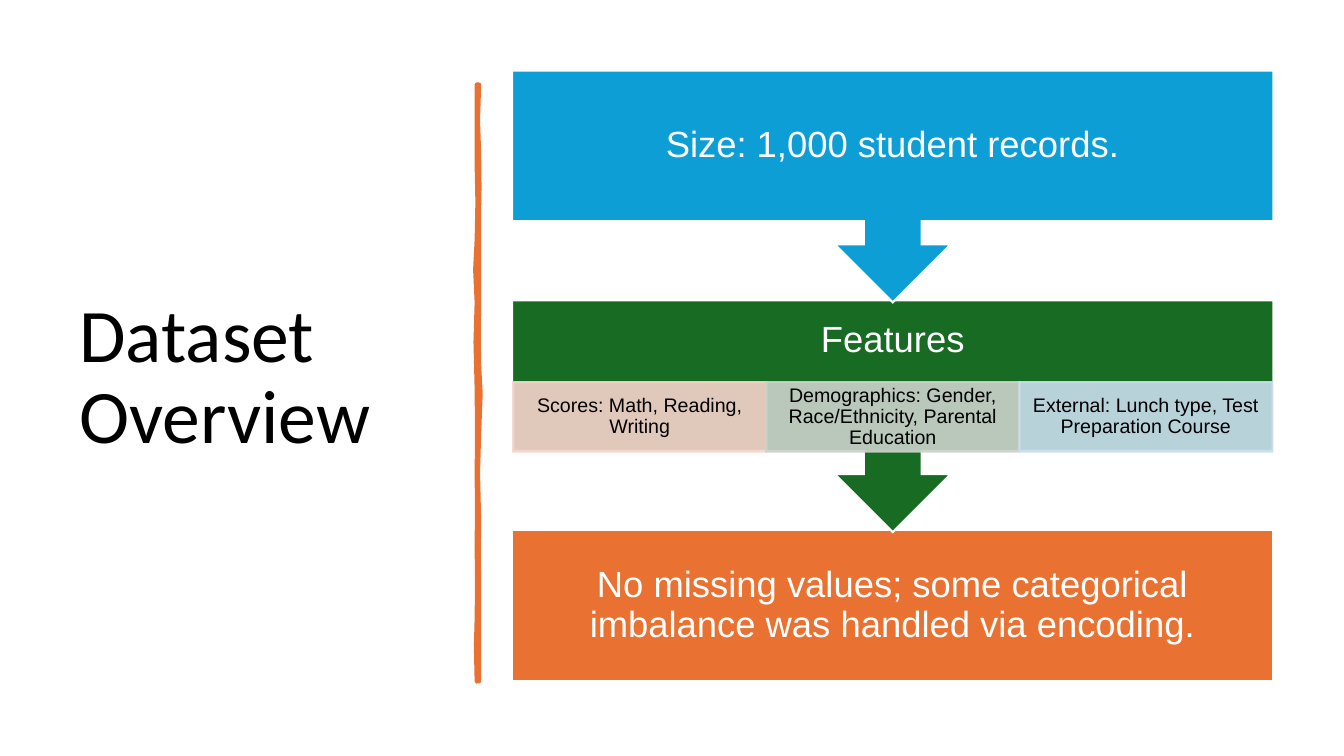
from dataclasses import dataclass

from lxml.etree import SubElement as SubEl
from pptx import Presentation
from pptx.dml.color import RGBColor as RGB
from pptx.enum.shapes import MSO_SHAPE as Kind
from pptx.enum.text import MSO_ANCHOR as Anchor, PP_ALIGN as Align
from pptx.oxml.ns import qn
from pptx.util import Inches, Pt

HUES = {
    "blue": "0C9ED5", "green": "176B22", "orange": "E97131", "rule": "E97132",
    "pink": "F6D4CC", "sage": "CBD3CB", "sky": "CADEEF",
    "white": "FFFFFF", "black": "000000",
}
LEFT, WIDE = 5.08, 7.55
CELL = 2.51

# Start point, then cubic curves as three x, y pairs
RULE = [
    (4.75, 0.84),
    (4.75, 1.15, 4.72, 1.25, 4.75, 1.52), (4.77, 1.79, 4.74, 1.97, 4.75, 2.08),
    (4.76, 2.2, 4.74, 2.55, 4.75, 2.94), (4.76, 3.33, 4.73, 3.43, 4.75, 3.62),
    (4.77, 3.81, 4.77, 3.97, 4.75, 4.3), (4.72, 4.63, 4.75, 4.74, 4.75, 5.16),
    (4.75, 5.57, 4.74, 5.53, 4.75, 5.78), (4.76, 6.03, 4.74, 6.47, 4.75, 6.76),
    (4.74, 6.75, 4.73, 6.75, 4.73, 6.76), (4.7, 6.49, 4.74, 6.32, 4.73, 6.13),
    (4.72, 5.95, 4.75, 5.69, 4.73, 5.39), (4.71, 5.1, 4.76, 5, 4.73, 4.71),
    (4.7, 4.42, 4.77, 4.2, 4.73, 3.86), (4.69, 3.51, 4.74, 3.25, 4.73, 3),
    (4.71, 2.75, 4.71, 2.59, 4.73, 2.38), (4.74, 2.16, 4.74, 1.85, 4.73, 1.64),
    (4.71, 1.43, 4.75, 1.21, 4.73, 0.84),
]


@dataclass
class Block:
    text: str
    hue: str
    top: float
    high: float
    left: float = LEFT
    wide: float = WIDE
    kind: Kind = Kind.RECTANGLE
    size: int = 26
    ink: str = "white"
    edge: str = "white"
    pad: tuple = (0.2, 0.2, 0.2, 0.2)
    alpha: int = 100


def cell(col: int, text: str, hue: str) -> Block:
    return Block(text, hue, 3.79, 0.69, 5.09 + col * CELL, CELL, size=14,
                 ink="black", edge=hue, pad=(0.11, 0.02, 0.11, 0.02), alpha=90)


BLOCKS = [
    Block("No missing values; some categorical imbalance was handled via "
          "encoding.", "orange", 5.26, 1.5),
    Block("Features", "green", 2.98, 2.3, kind=Kind.DOWN_ARROW_CALLOUT,
          pad=(0.2, 0.2, 0.2, 0.89)),
    cell(0, "Scores: Math, Reading, Writing", "pink"),
    cell(1, "Demographics: Gender, Race/Ethnicity, Parental Education", "sage"),
    cell(2, "External: Lunch type, Test Preparation Course", "sky"),
    Block("Size: 1,000 student records.", "blue", 0.7, 2.3,
          kind=Kind.DOWN_ARROW_CALLOUT),
]


def tint(hue: str) -> RGB:
    return RGB.from_string(HUES[hue])


def paint(shape, hue: str, edge: str, width: float, join: str) -> None:
    shape.shadow.inherit = False
    shape.fill.solid()
    shape.fill.fore_color.rgb = tint(hue)
    shape.line.color.rgb = tint(edge)
    shape.line.width = Pt(width)
    SubEl(shape.line._ln, qn(join))


def fade(shape, alpha: int) -> None:
    """Make the fill and the line partly transparent."""
    for clr in shape._element.spPr.iter(qn("a:srgbClr")):
        SubEl(clr, qn("a:alpha")).set("val", str(alpha * 1000))


def write(shape, text: str, size: int, font: str, ink: str, align: Align,
          pad: tuple) -> None:
    frame = shape.text_frame
    sides = ("margin_left", "margin_top", "margin_right", "margin_bottom")
    look = {"word_wrap": True, "vertical_anchor": Anchor.MIDDLE}
    look |= {side: Inches(gap) for side, gap in zip(sides, pad)}
    para = frame.paragraphs[0]
    run = para.add_run()
    run.text = text
    for part, form in (
        (frame, look),
        (para, {"alignment": align, "line_spacing": 0.9}),
        (run.font, {"size": Pt(size), "name": font}),
        (run.font.color, {"rgb": tint(ink)}),
    ):
        for name, value in form.items():
            setattr(part, name, value)


def trace(rule: list) -> list:
    """Give the middle and the end of each curve as points."""
    x, y = rule[0]
    pts = [(x, y)]
    for ax, ay, bx, by, ex, ey in rule[1:]:
        mid = ((x + 3 * ax + 3 * bx + ex) / 8, (y + 3 * ay + 3 * by + ey) / 8)
        pts += [mid, (ex, ey)]
        x, y = ex, ey
    return [(Inches(px), Inches(py)) for px, py in pts]


def draw_rule(shapes) -> None:
    first, *rest = trace(RULE)
    pen = shapes.build_freeform(*first)
    pen.add_line_segments(rest, close=True)
    paint(pen.convert_to_shape(), "rule", "rule", 3.25, "a:round")


def draw_block(shapes, block: Block) -> None:
    box = map(Inches, (block.left, block.top, block.wide, block.high))
    shape = shapes.add_shape(block.kind, *box)
    if block.kind == Kind.DOWN_ARROW_CALLOUT:
        for i, part in enumerate((0.25, 0.25, 0.25, 0.65)):
            shape.adjustments[i] = part
    paint(shape, block.hue, block.edge, 1.5, "a:miter")
    if block.alpha < 100:
        fade(shape, block.alpha)
    write(shape, block.text, block.size, "Arial", block.ink, Align.CENTER,
          block.pad)


def main() -> None:
    deck = Presentation()
    deck.slide_width, deck.slide_height = Inches(13.33), Inches(7.5)
    shapes = deck.slides.add_slide(deck.slide_layouts[6]).shapes
    title = shapes.add_textbox(*map(Inches, (0.69, 0.7, 3.74, 6.11)))
    write(title, "Dataset Overview", 54, "Calibri", "black", Align.LEFT,
          (0.1, 0.05, 0.1, 0.05))
    draw_rule(shapes)
    for block in BLOCKS:
        draw_block(shapes, block)
    deck.save("out.pptx")


if __name__ == "__main__":
    main()
